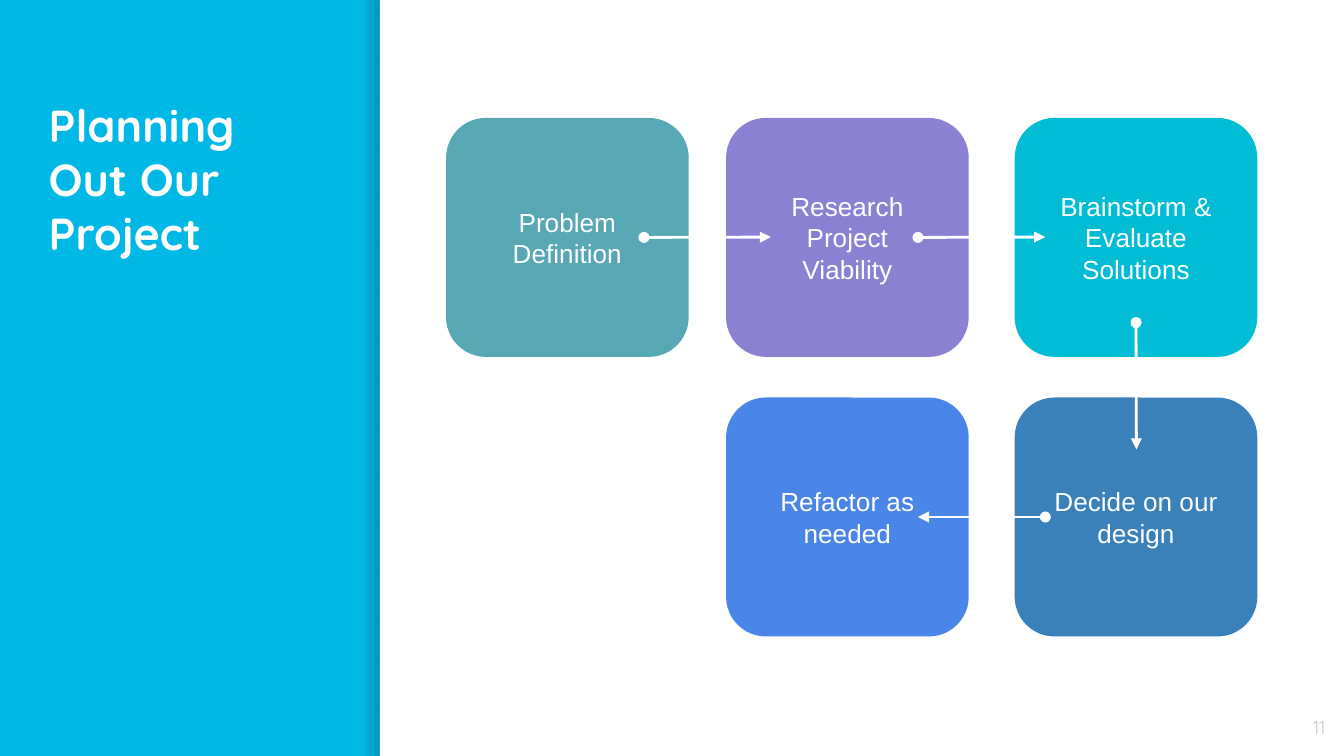
from lxml import etree
from pptx import Presentation
from pptx.dml.color import RGBColor
from pptx.enum import shapes, text
from pptx.oxml import ns
from pptx.util import Pt

COLORS = {
    "panel": "00B8E6", "shade": "000014", "white": "FFFFFF", "number": "CCCCCC",
    "teal": "57A7B5", "purple": "8B81D2", "cyan": "00BCD4",
    "steel": "3A81BA", "blue": "4A86E8",
}
COLUMNS = (239, 389, 543.6)
ROWS = (63.2, 213)
STEP_W, STEP_H = 130, 128
PANEL_W = 203.5

# column, row, color, paragraphs
STEPS = (
    (0, 0, "teal", ["Problem Definition"]),
    (1, 0, "purple", ["Research", "Project", "Viability"]),
    (2, 0, "cyan", ["Brainstorm & Evaluate Solutions"]),
    (2, 1, "steel", ["Decide on our design"]),
    (1, 1, "blue", ["Refactor as", "needed"]),
)
# start x, start y, end x, end y
ARROWS = (
    (345, 127.2, 413, 127),
    (491.8, 127.2, 560, 127),
    (608.6, 172.8, 608.8, 240.8),
    (560, 277, 491.8, 277),
)


def rgb(name):
    return RGBColor.from_string(COLORS[name])


def add_block(slide, kind, x, y, w, h, color):
    s = slide.shapes.add_shape(kind, Pt(x), Pt(y), Pt(w), Pt(h))
    s.shadow.inherit = False
    s.fill.solid()
    s.fill.fore_color.rgb = rgb(color)
    s.line.fill.background()
    return s


def write(s, lines, size, font, color, align, anchor, bold=False):
    tf = s.text_frame
    tf.word_wrap = True
    tf.vertical_anchor = anchor
    tf.margin_left = tf.margin_right = tf.margin_top = tf.margin_bottom = Pt(7.2)
    for i, line in enumerate(lines):
        p = tf.add_paragraph() if i else tf.paragraphs[0]
        p.text = line
        p.alignment = align
        p.font.size = Pt(size)
        p.font.name = font
        p.font.bold = bold
        p.font.color.rgb = rgb(color)


def add_label(slide, x, y, w, h, *style, **options):
    s = slide.shapes.add_textbox(Pt(x), Pt(y), Pt(w), Pt(h))
    write(s, *style, **options)


def add_edge_shade(slide):
    """Darken the panel gradually toward its right edge."""
    w = 9
    s = add_block(slide, shapes.MSO_SHAPE.RECTANGLE, PANEL_W - w, 0, w, 405, "shade")
    s.fill.gradient()
    s.fill.gradient_angle = 0
    for stop, opacity in zip(s.fill.gradient_stops, (0, 20000)):
        stop.color.rgb = rgb("shade")
    for clr, opacity in zip(s._element.spPr.iter(ns.qn("a:srgbClr")), (0, 20000)):
        etree.SubElement(clr, ns.qn("a:alpha"), val=str(opacity))


def add_step(slide, column, row, color, lines):
    s = add_block(slide, shapes.MSO_SHAPE.ROUNDED_RECTANGLE,
                  COLUMNS[column], ROWS[row], STEP_W, STEP_H, color)
    write(s, lines, 14, "Arial", "white", text.PP_ALIGN.CENTER, text.MSO_ANCHOR.MIDDLE)


def add_arrow(slide, x1, y1, x2, y2):
    c = slide.shapes.add_connector(shapes.MSO_CONNECTOR.STRAIGHT,
                                   Pt(x1), Pt(y1), Pt(x2), Pt(y2))
    c.line.color.rgb = rgb("white")
    c.line.width = Pt(1.5)
    ln = c.line._get_or_add_ln()
    etree.SubElement(ln, ns.qn("a:headEnd"), type="oval")
    etree.SubElement(ln, ns.qn("a:tailEnd"), type="triangle")
    etree.SubElement(c._element.spPr, ns.qn("a:effectLst"))


def main():
    prs = Presentation()
    prs.slide_width, prs.slide_height = Pt(720), Pt(405)
    slide = prs.slides.add_slide(prs.slide_layouts[6])
    slide.background.fill.solid()
    slide.background.fill.fore_color.rgb = rgb("panel")

    add_edge_shade(slide)
    add_block(slide, shapes.MSO_SHAPE.RECTANGLE, PANEL_W, 0, 720 - PANEL_W, 405, "white")
    add_label(slide, 19, 45.4, 161, 313, ["Planning Out Our Project"], 24, "Quicksand",
              "white", text.PP_ALIGN.LEFT, text.MSO_ANCHOR.TOP, bold=True)
    add_label(slide, 674, 374, 43, 31, ["11"], 10, "Quicksand",
              "number", text.PP_ALIGN.RIGHT, text.MSO_ANCHOR.MIDDLE)
    for step in STEPS:
        add_step(slide, *step)
    for arrow in ARROWS:
        add_arrow(slide, *arrow)
    prs.save("out.pptx")


if __name__ == "__main__":
    main()
